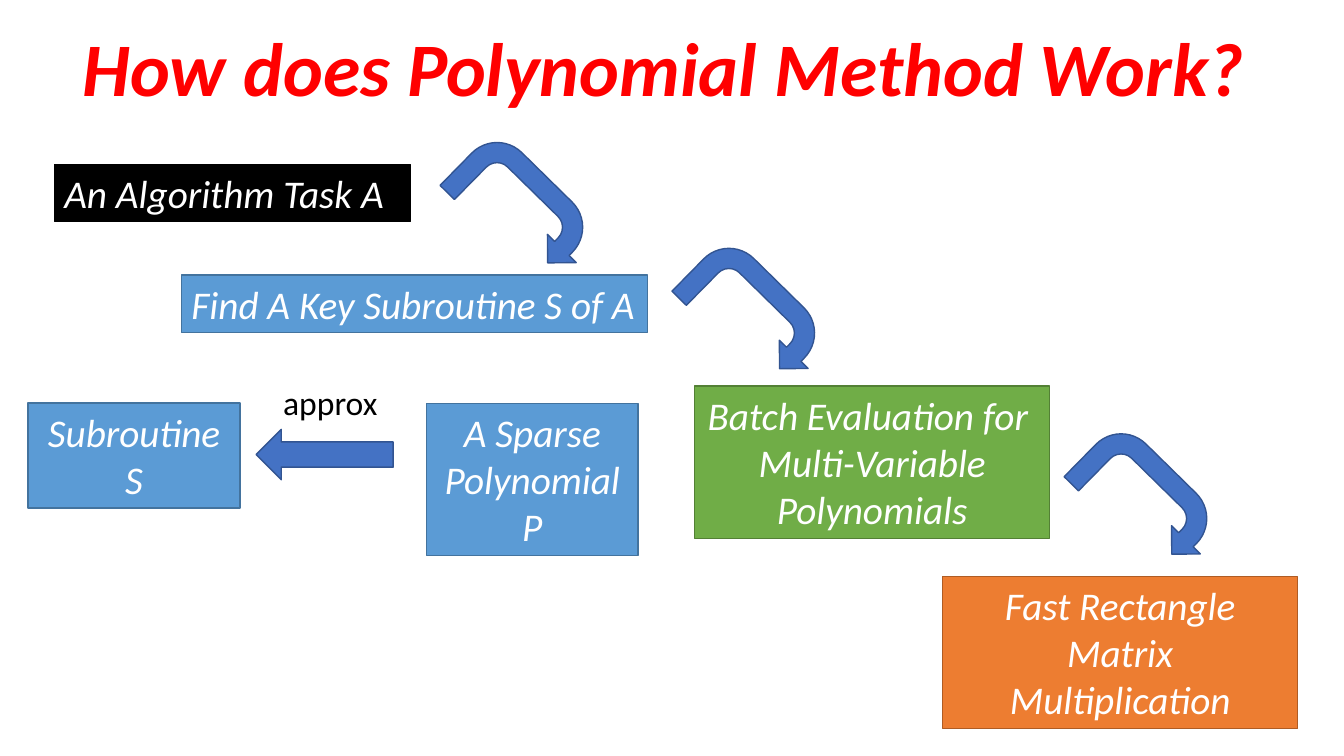
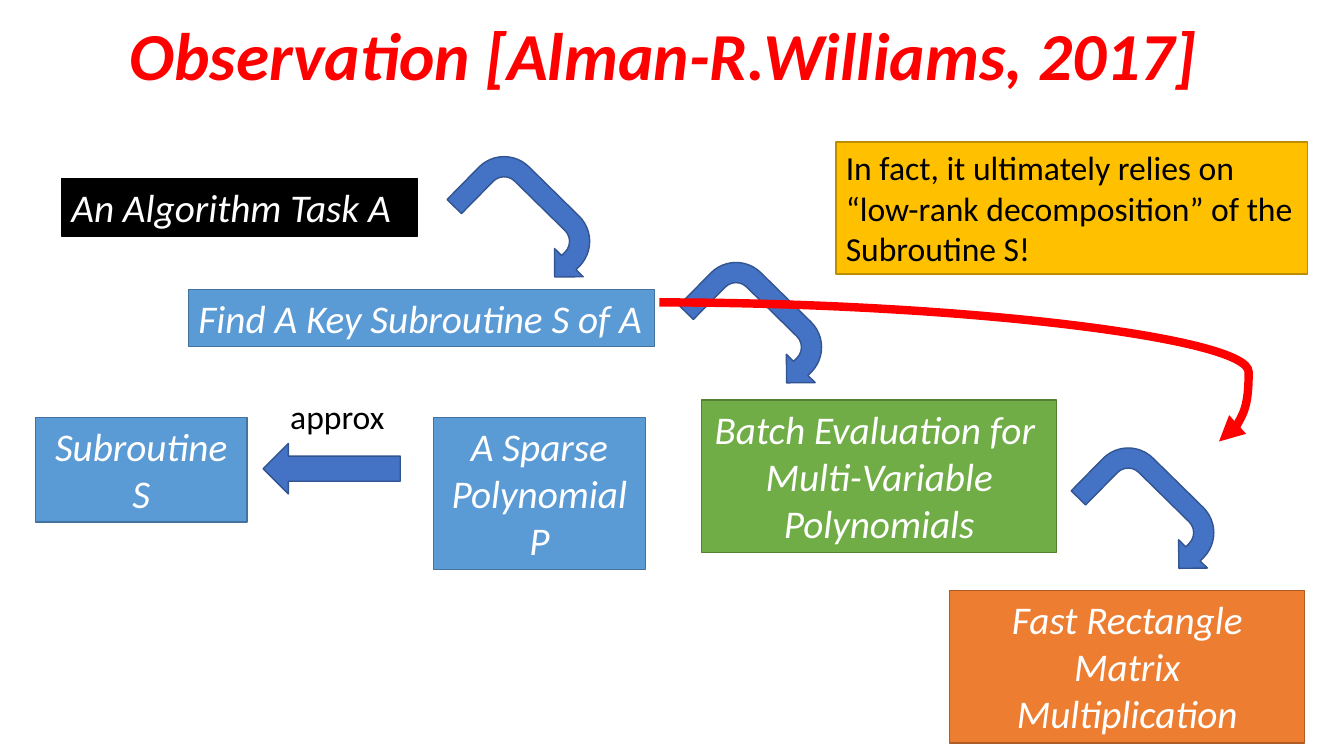
from pptx import Presentation
from pptx.dml.color import RGBColor
from pptx.enum.shapes import MSO_CONNECTOR, MSO_SHAPE
from pptx.enum.text import MSO_ANCHOR, MSO_AUTO_SIZE, PP_ALIGN
from pptx.oxml.ns import qn
from pptx.util import Inches, Pt
from lxml import etree

FONT = "Calibri"
WHITE = RGBColor(0xFF, 0xFF, 0xFF)
BLACK = RGBColor(0x00, 0x00, 0x00)
RED = RGBColor(0xFF, 0x00, 0x00)
BLUE = RGBColor(0x5B, 0x9B, 0xD5)
BLUE_EDGE = RGBColor(0x43, 0x73, 0x9E)
GREEN = RGBColor(0x70, 0xAD, 0x47)
GREEN_EDGE = RGBColor(0x53, 0x80, 0x35)
ORANGE = RGBColor(0xED, 0x7D, 0x31)
ORANGE_EDGE = RGBColor(0xAF, 0x5C, 0x24)
GOLD = RGBColor(0xFF, 0xC0, 0x00)
GOLD_EDGE = RGBColor(0xBD, 0x8E, 0x00)
ARROW = RGBColor(0x44, 0x72, 0xC4)
ARROW_EDGE = RGBColor(0x32, 0x54, 0x91)

# Title text, size, title height, and the offset of the diagram
PAGES = [
    ("How does Polynomial Method Work?", 54, 1.1, 0, 0),
    ("Observation [Alman-R.Williams, 2017]", 48, 0.92, 0.07, 0.14),
]

# Text, left, top, width, height, fill, edge, alignment
STEPS = [
    ("An Algorithm Task A", 0.54, 1.63, 3.53, 0.57, BLACK, BLACK, PP_ALIGN.LEFT),
    ("Find A Key Subroutine S of A", 1.8, 2.73, 4.62, 0.57, BLUE, BLUE_EDGE, PP_ALIGN.LEFT),
    ("Subroutine S", 0.28, 4, 2.1, 1.04, BLUE, BLUE_EDGE, PP_ALIGN.CENTER),
    ("A Sparse Polynomial\nP", 4.23, 4, 2.1, 1.51, BLUE, BLUE_EDGE, PP_ALIGN.CENTER),
    ("Batch Evaluation for \nMulti-Variable Polynomials", 6.89, 3.83, 3.52, 1.51,
     GREEN, GREEN_EDGE, PP_ALIGN.CENTER),
    ("Fast Rectangle Matrix Multiplication", 9.35, 5.72, 3.52, 1.51,
     ORANGE, ORANGE_EDGE, PP_ALIGN.CENTER),
]

# Preset, left, top, width, height, rotation
ARROWS = [
    (MSO_SHAPE.LEFT_ARROW, 2.54, 4.26, 1.36, 0.5, 0),
    (MSO_SHAPE.U_TURN_ARROW, 4.43, 1.68, 1.5, 0.8, 44.5),
    (MSO_SHAPE.U_TURN_ARROW, 6.73, 2.73, 1.5, 0.8, 44.5),
    (MSO_SHAPE.U_TURN_ARROW, 10.62, 4.57, 1.5, 0.8, 44.5),
]


def format_text(frame, size, color, align, bold=False, italic=False):
    for para in frame.paragraphs:
        para.alignment = align
        for span in para.runs:
            span.font.name = FONT
            span.font.size = Pt(size)
            span.font.color.rgb = color
            span.font.bold = bold
            span.font.italic = italic


def add_box(page, text, left, top, width, height, fill, edge, wrap=True):
    box = page.shapes.add_textbox(Inches(left), Inches(top), Inches(width), Inches(height))
    box.fill.solid()
    box.fill.fore_color.rgb = fill
    if edge is not None:
        box.line.color.rgb = edge
        box.line.width = Pt(1)
    frame = box.text_frame
    frame.text = text
    frame.word_wrap = wrap
    frame.auto_size = MSO_AUTO_SIZE.SHAPE_TO_FIT_TEXT
    return frame


deck = Presentation()
deck.slide_width = Inches(13.33)
deck.slide_height = Inches(7.5)

for title_text, title_size, title_height, shift_x, shift_y in PAGES:
    page = deck.slides.add_slide(deck.slide_layouts[5])

    # Title
    title = page.shapes.title
    title.left, title.top = Inches(0.07), Inches(0.07)
    title.width, title.height = Inches(13.02), Inches(title_height)
    frame = title.text_frame
    frame.text = title_text
    frame.word_wrap = True
    frame.auto_size = MSO_AUTO_SIZE.NONE
    frame.vertical_anchor = MSO_ANCHOR.BOTTOM
    frame.paragraphs[0].line_spacing = 0.9
    format_text(frame, title_size, RED, PP_ALIGN.CENTER, bold=True, italic=True)

    # Steps of the method
    for text, left, top, width, height, fill, edge, align in STEPS:
        frame = add_box(page, text, left + shift_x, top + shift_y, width, height, fill, edge)
        format_text(frame, 28, WHITE, align, italic=True)

    # Label above the left arrow
    frame = add_box(page, "approx", 2.71 + shift_x, 3.74 + shift_y, 1.15, 0.5,
                    WHITE, None, wrap=False)
    format_text(frame, 24, BLACK, PP_ALIGN.LEFT)

    # Arrows between the steps
    for preset, left, top, width, height, rotation in ARROWS:
        arrow = page.shapes.add_shape(preset, Inches(left + shift_x), Inches(top + shift_y),
                                      Inches(width), Inches(height))
        arrow.rotation = rotation
        arrow.shadow.inherit = False
        arrow.fill.solid()
        arrow.fill.fore_color.rgb = ARROW
        arrow.line.color.rgb = ARROW_EDGE
        arrow.line.width = Pt(1)

# Shortcut from the subroutine to the matrix multiplication, on the last page
shortcut = page.shapes.add_connector(MSO_CONNECTOR.CURVE, Inches(6.54), Inches(3),
                                     Inches(12.09), Inches(4.38))
shortcut.line.color.rgb = RED
shortcut.line.width = Pt(6)
properties = shortcut.element.spPr
guides = properties.find(qn("a:prstGeom")).get_or_add_avLst()
etree.SubElement(guides, qn("a:gd"), name="adj1", fmla="val 105300")
etree.SubElement(properties.find(qn("a:ln")), qn("a:tailEnd"), type="triangle")
etree.SubElement(properties, qn("a:effectLst"))

# Remark
remark = "In fact, it ultimately relies on\n“low-rank decomposition” of the\nSubroutine S!"
frame = add_box(page, remark, 8.29, 1.41, 4.68, 1.31, GOLD, GOLD_EDGE, wrap=False)
format_text(frame, 24, BLACK, PP_ALIGN.LEFT)

deck.save("out.pptx")
